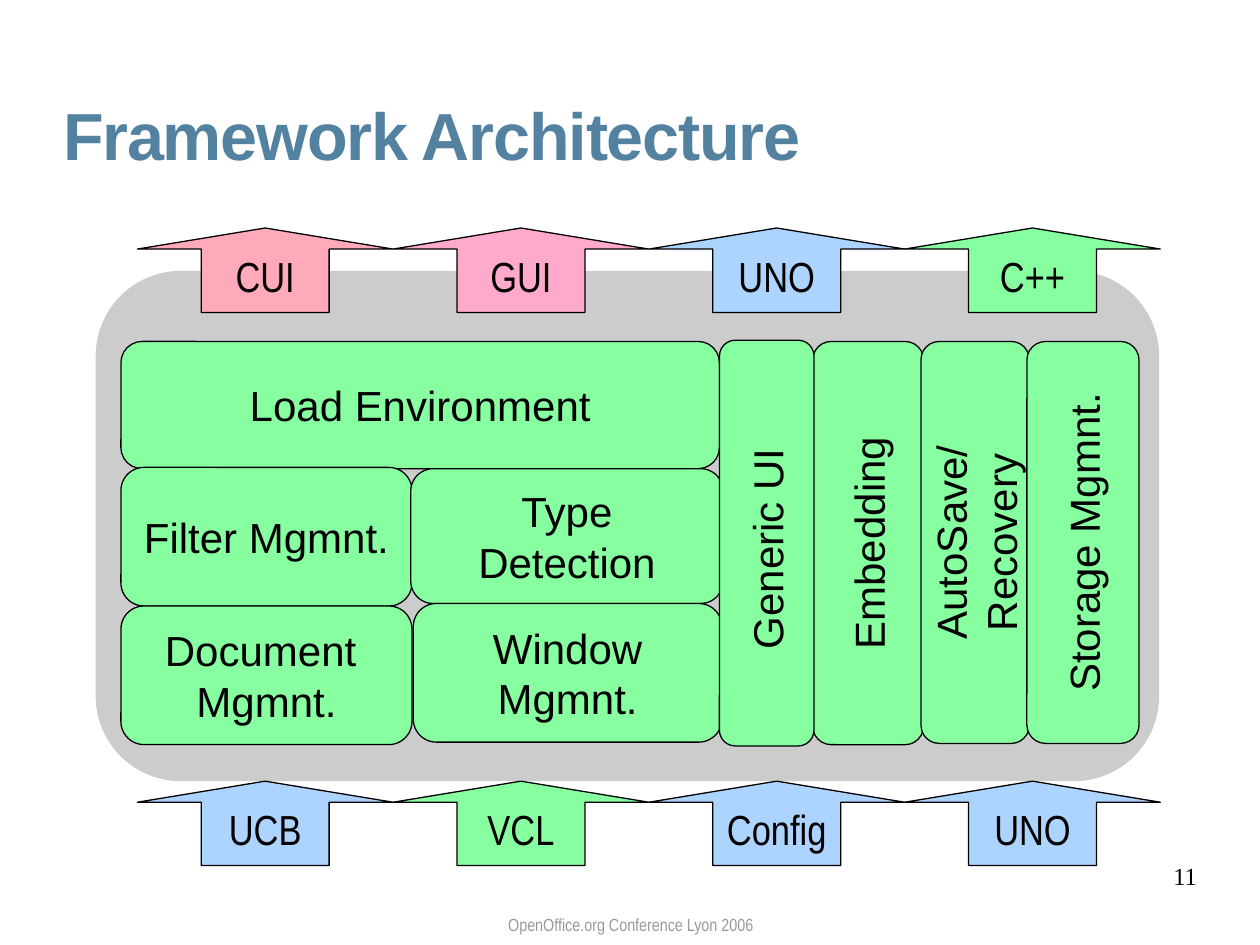
from dataclasses import dataclass

from pptx import Presentation
from pptx import util as u
from pptx.dml.color import RGBColor
from pptx.enum import shapes, text


@dataclass(frozen=True)
class Theme:
    ink: str = "000000"
    title: str = "5382A1"
    foot: str = "999999"
    base: str = "CCCCCC"
    green: str = "87FFA1"
    blue: str = "ADD4FF"
    rose: str = "FFAABB"
    pink: str = "FFAACC"
    sans: str = "Arial"
    slim: str = "Arial Narrow"
    serif: str = "Times New Roman"
    head: float = 38
    body: float = 24
    page: float = 14
    note: float = 10


@dataclass(frozen=True)
class Box:
    left: float
    top: float
    width: float
    height: float


@dataclass(frozen=True)
class Block:
    label: str
    box: Box
    turned: bool = False


@dataclass(frozen=True)
class Arrow:
    label: str
    color: str


THEME = Theme()
KIND = shapes.MSO_SHAPE
ALIGN = text.PP_ALIGN
ANCHOR = text.MSO_ANCHOR

BLOCKS = [
    Block("Load Environment", Box(0.96, 2.71, 4.75, 1.01)),
    Block("Filter Mgmnt.", Box(0.96, 3.71, 2.31, 1.1)),
    Block("Document \nMgmnt.", Box(0.96, 4.81, 2.31, 1.1)),
    Block("Type\nDetection", Box(3.26, 3.72, 2.48, 1.07)),
    Block("Window\nMgmnt.", Box(3.28, 4.79, 2.45, 1.1)),
    Block("Embedding", Box(6.45, 2.71, 0.88, 3.2), True),
    Block("AutoSave/Recovery", Box(7.31, 2.71, 0.86, 3.19), True),
    Block("Storage Mgmnt.", Box(8.15, 2.71, 0.89, 3.19), True),
    Block("Generic UI ", Box(5.71, 2.7, 0.75, 3.22), True),
]
ROWS = {
    1.81: [Arrow("CUI", THEME.rose), Arrow("GUI", THEME.pink),
           Arrow("UNO", THEME.blue), Arrow("C++", THEME.green)],
    6.2: [Arrow("UCB", THEME.blue), Arrow("VCL", THEME.green),
          Arrow("Config", THEME.blue), Arrow("UNO", THEME.blue)],
}


def apply(item, values: dict) -> None:
    for name, value in values.items():
        setattr(item, name, value)


def place(box: Box) -> list:
    return [u.Inches(n) for n in (box.left, box.top, box.width, box.height)]


def write(shape, label: str, size: float, face: str, color: str = THEME.ink,
          align=ALIGN.CENTER, anchor=ANCHOR.MIDDLE, pad: float = 0,
          bold: bool = False, lead: float = 1) -> None:
    frame = shape.text_frame
    side, edge = u.Inches(pad), u.Inches(pad / 2)
    apply(frame, dict(text=label, word_wrap=True, vertical_anchor=anchor,
                      margin_left=side, margin_right=side,
                      margin_top=edge, margin_bottom=edge))
    for para in frame.paragraphs:
        apply(para, dict(alignment=align, line_spacing=lead))
        for run in para.runs:
            apply(run.font, dict(size=u.Pt(size), name=face, bold=bold))
            run.font.color.rgb = RGBColor.from_string(color)


def draw(slide, kind, box: Box, fill: str, edged: bool = True):
    shape = slide.shapes.add_shape(kind, *place(box))
    shape.shadow.inherit = False
    shape.fill.solid()
    shape.fill.fore_color.rgb = RGBColor.from_string(fill)
    if edged:
        shape.line.color.rgb = RGBColor.from_string(THEME.ink)
        shape.line.width = u.Pt(0)
    else:
        shape.line.fill.background()
    return shape


def add_block(slide, block: Block) -> None:
    box = block.box
    if block.turned:
        shift = (box.width - box.height) / 2
        box = Box(box.left + shift, box.top - shift, box.height, box.width)
    shape = draw(slide, KIND.ROUNDED_RECTANGLE, box, THEME.green)
    shape.rotation = 270 if block.turned else 0
    write(shape, block.label, THEME.body, THEME.sans, pad=0.1)


def add_row(slide, top: float, row: list[Arrow]) -> None:
    for col, arrow in enumerate(row):
        box = Box(1.09 + col * 2.03, top, 2.03, 0.67)
        shape = draw(slide, KIND.UP_ARROW, box, arrow.color)
        shape.adjustments[0] = 0.5
        shape.adjustments[1] = 0.25
        write(shape, arrow.label, THEME.body, THEME.slim)


def add_text(slide, box: Box, label: str, size: float, face: str, **look):
    shape = slide.shapes.add_textbox(*place(box))
    write(shape, label, size, face, **look)
    return shape


def main() -> None:
    deck = Presentation()
    apply(deck, dict(slide_width=u.Inches(10), slide_height=u.Inches(7.5)))
    slide = deck.slides.add_slide(deck.slide_layouts[6])
    add_text(slide, Box(3.07, 7.19, 3.87, 0.23),
             "OpenOffice.org Conference Lyon 2006", THEME.note, THEME.slim,
             color=THEME.foot, anchor=ANCHOR.BOTTOM, lead=0.85)
    add_text(slide, Box(7.17, 6.83, 2.33, 0.52), "11", THEME.page,
             THEME.serif, align=ALIGN.RIGHT, anchor=ANCHOR.TOP)
    title = add_text(slide, Box(0.5, 0.82, 9.08, 0.69),
                     "Framework Architecture", THEME.head, THEME.sans,
                     color=THEME.title, align=ALIGN.LEFT, anchor=ANCHOR.TOP,
                     bold=True, lead=0.9)
    run = title.text_frame.paragraphs[0].runs[0]
    run.font._element.set("spc", "-70")
    draw(slide, KIND.ROUNDED_RECTANGLE, Box(0.76, 2.15, 8.44, 4.05),
         THEME.base, edged=False)
    for block in BLOCKS:
        add_block(slide, block)
    for top, row in ROWS.items():
        add_row(slide, top, row)
    deck.save("out.pptx")


if __name__ == "__main__":
    main()
